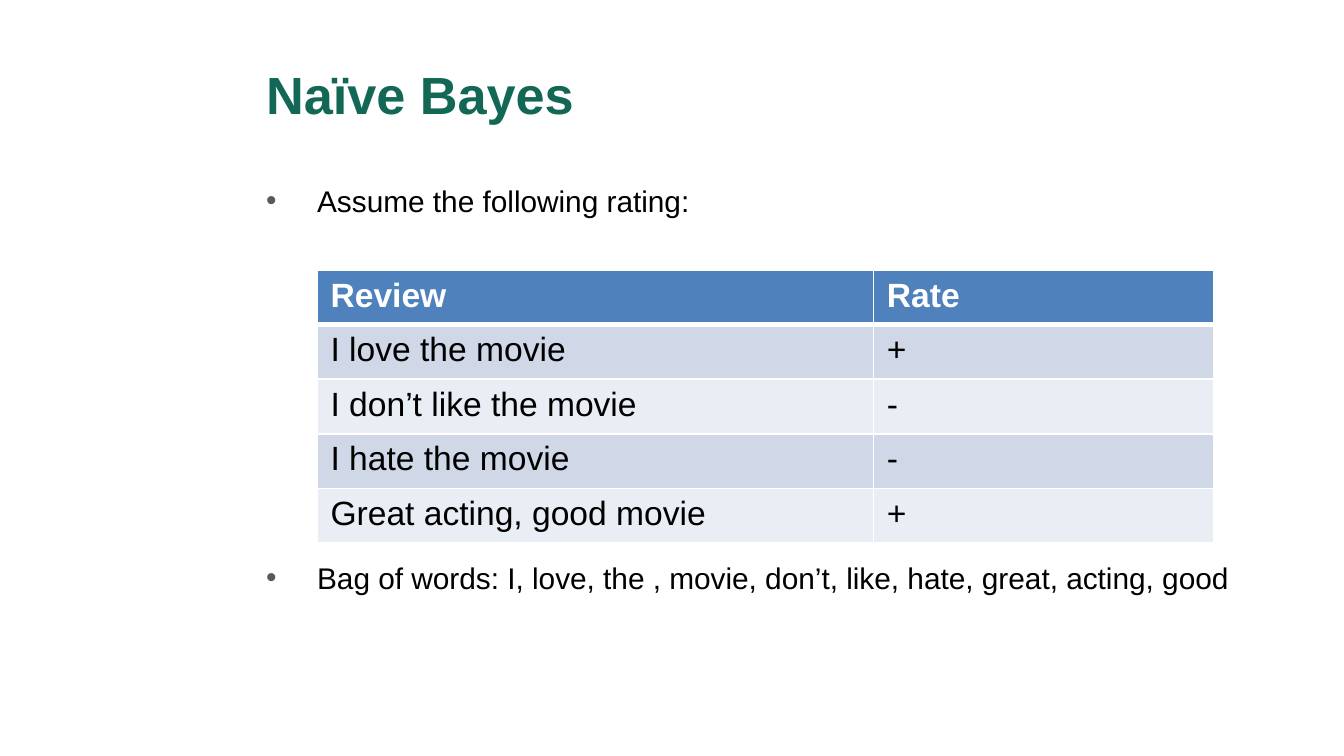
from lxml import etree
from pptx import Presentation
from pptx.dml.color import RGBColor
from pptx.enum.text import MSO_ANCHOR, MSO_AUTO_SIZE, PP_ALIGN
from pptx.oxml.ns import qn
from pptx.util import Inches, Pt

LEFT = PP_ALIGN.LEFT
MIDDLE = MSO_ANCHOR.MIDDLE
NO_AUTOFIT = MSO_AUTO_SIZE.NONE

FONT = "Arial"
GREEN, BLACK, WHITE, GRAY = "136855", "000000", "FFFFFF", "595959"
HEADER_FILL = "4F81BD"
BAND_FILLS = ["D0D8E8", "E9EDF4"]

REVIEWS = [
    ("Review", "Rate"),
    ("I love the movie", "+"),
    ("I don’t like the movie", "-"),
    ("I hate the movie", "-"),
    ("Great acting, good movie", "+"),
]
BULLETS = [
    ("Assume the following rating:", 3.2),
    ("Bag of words: I, love, the , movie, don’t, like, hate, great, acting, good", 182.5),
]


def color(value):
    return RGBColor.from_string(value)


def style_paragraph(paragraph, size, text_color, bold=False):
    paragraph.alignment = LEFT
    font = paragraph.font
    font.name, font.size, font.bold = FONT, Pt(size), bold
    font.color.rgb = color(text_color)


def place(shape, left, top, width, height):
    shape.left, shape.top = Inches(left), Inches(top)
    shape.width, shape.height = Inches(width), Inches(height)


def add_bullet(paragraph, indent):
    properties = paragraph._p.get_or_add_pPr()
    properties.set("marL", str(Inches(indent)))
    properties.set("indent", str(-Inches(indent)))
    bullet_color = etree.SubElement(properties, qn("a:buClr"))
    etree.SubElement(bullet_color, qn("a:srgbClr"), val=GRAY)
    etree.SubElement(properties, qn("a:buFont"), typeface=FONT)
    etree.SubElement(properties, qn("a:buChar"), char="•")


def add_cell_borders(cell, bottom_width):
    properties = cell._tc.get_or_add_tcPr()
    widths = {"a:lnL": 1, "a:lnR": 1, "a:lnT": 1, "a:lnB": bottom_width}
    for tag, width in widths.items():
        line = etree.SubElement(properties, qn(tag), w=str(Pt(width)))
        fill = etree.SubElement(line, qn("a:solidFill"))
        etree.SubElement(fill, qn("a:srgbClr"), val=WHITE)


def fill_title(title, text, box):
    place(title, *box)
    frame = title.text_frame
    frame.text = text
    frame.vertical_anchor = MIDDLE
    frame.auto_size = NO_AUTOFIT
    style_paragraph(frame.paragraphs[0], 28, GREEN, bold=True)


def fill_bullets(body, bullets, box):
    place(body, *box)
    frame = body.text_frame
    frame.text = "\n".join(text for text, _ in bullets)
    frame.auto_size = NO_AUTOFIT
    for paragraph, (_, space_before) in zip(frame.paragraphs, bullets):
        paragraph.space_before = Pt(space_before)
        add_bullet(paragraph, 0.38)
        style_paragraph(paragraph, 16, BLACK)


def add_review_table(slide, rows, box):
    left, top, width, height = map(Inches, box)
    table = slide.shapes.add_table(len(rows), 2, left, top, width, height).table
    table.columns[0].width = Inches(4.14)
    table.columns[1].width = width - Inches(4.14)
    for row_index, row in enumerate(rows):
        is_header = row_index == 0
        fill = HEADER_FILL if is_header else BAND_FILLS[(row_index - 1) % 2]
        for column_index, text in enumerate(row):
            cell = table.cell(row_index, column_index)
            cell.text = text
            add_cell_borders(cell, 3 if is_header else 1)
            cell.fill.solid()
            cell.fill.fore_color.rgb = color(fill)
            style_paragraph(cell.text_frame.paragraphs[0], 18,
                            WHITE if is_header else BLACK, bold=is_header)


def main():
    presentation = Presentation()
    presentation.slide_width = Inches(10)
    presentation.slide_height = presentation.slide_width * 9 // 16
    slide = presentation.slides.add_slide(presentation.slide_layouts[1])
    fill_title(slide.shapes.title, "Naïve Bayes", (1.88, 0.23, 7.62, 0.94))
    fill_bullets(slide.placeholders[1], BULLETS, (1.88, 1.31, 7.62, 3.71))
    add_review_table(slide, REVIEWS, (2.36, 2.01, 6.67, 2.03))
    presentation.save("out.pptx")


if __name__ == "__main__":
    main()
